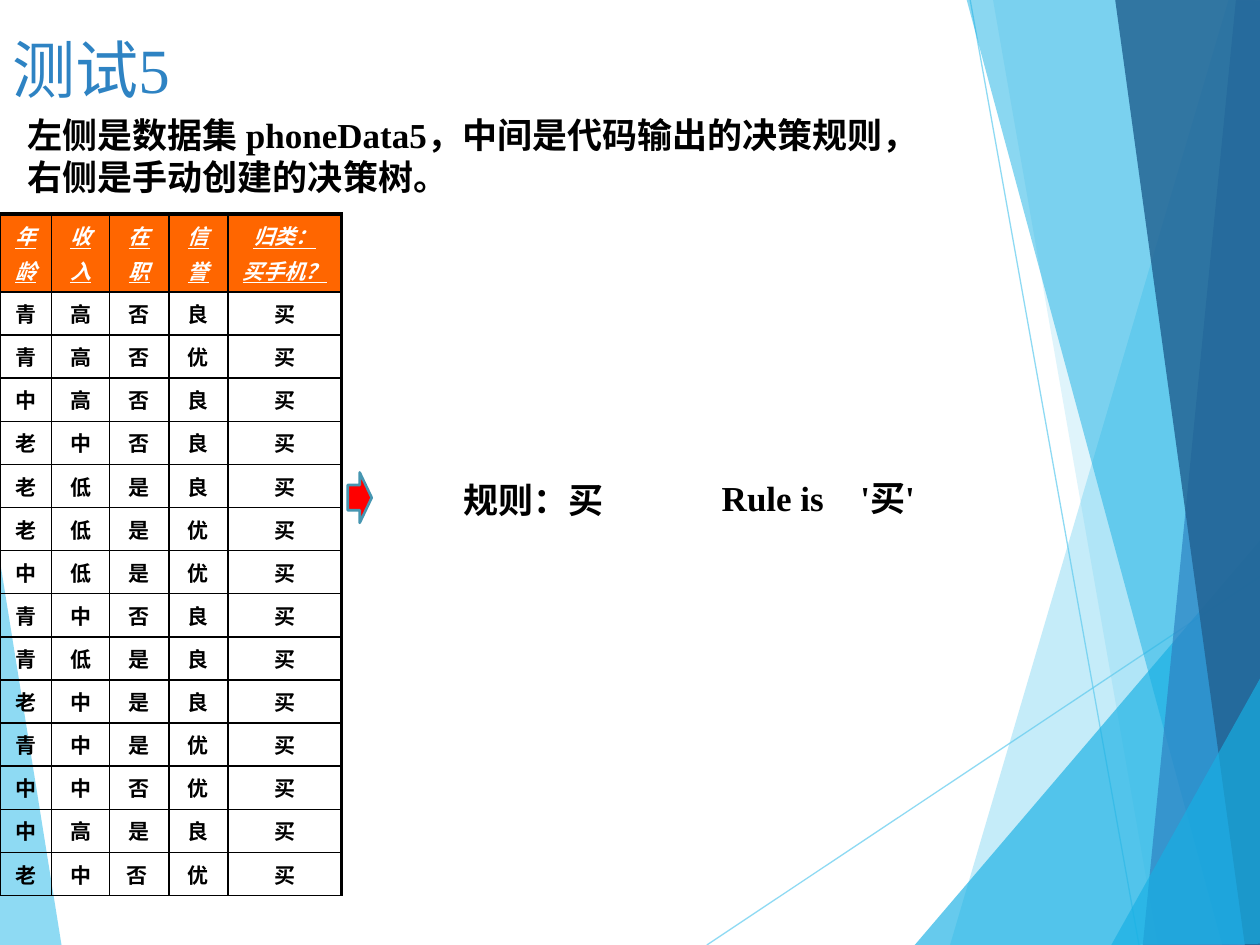
from lxml.etree import SubElement
from pptx import Presentation
from pptx.dml.color import RGBColor
from pptx.enum.shapes import MSO_CONNECTOR as Connector, MSO_SHAPE as Shape
from pptx.enum.text import PP_ALIGN as Align
from pptx.oxml.ns import qn
from pptx.util import Inches, Pt

THEME = {
    "latin": "Times New Roman", "cell_font": "Arial",
    "title_size": 36, "body_size": 20, "cell_size": 12,
    "text": "000000", "title": "2E83C3", "header_text": "FFFFFF",
    "header_fill": "FF6600", "border": "000000",
    "arrow": "FF0000", "arrow_line": "4696B1",
    "sky": "5FCBEF", "cyan": "17B0E4", "blue": "2E83C3", "navy": "226292",
}

TITLE = "测试5"
INTRO = "左侧是数据集 phoneData5，中间是代码输出的决策规则，右侧是手动创建的决策树。"
RULE = "规则：买"
TREE = "Rule is\t'买'"

HEADERS = [("年", "龄"), ("收", "入"), ("在", "职"), ("信", "誉"), ("归类：", "买手机？")]
RECORDS = [
    ("青", "高", "否", "良", "买"),
    ("青", "高", "否", "优", "买"),
    ("中", "高", "否", "良", "买"),
    ("老", "中", "否", "良", "买"),
    ("老", "低", "是", "良", "买"),
    ("老", "低", "是", "优", "买"),
    ("中", "低", "是", "优", "买"),
    ("青", "中", "否", "良", "买"),
    ("青", "低", "是", "良", "买"),
    ("老", "中", "是", "良", "买"),
    ("青", "中", "是", "优", "买"),
    ("中", "中", "否", "优", "买"),
    ("中", "高", "是", "良", "买"),
    ("老", "中", "否 ", "优", "买"),
]
COLUMN_WIDTHS = [0.41, 0.46, 0.47, 0.47, 0.9]
HEADER_HEIGHT, ROW_HEIGHT = 0.56, 0.33
THIN, THICK = 1, 2.25

# Backdrop: colour, opacity in percent, corner points in inches
LEFT_WEDGE = ("sky", 70, [(-0.01, 4.39), (0.49, 7.51), (-0.01, 7.5)])
RIGHT_FACETS = [
    ("sky", 36, [(9.75, 0), (7.54, 7.5), (10.02, 7.51), (10.01, 0.01)]),
    ("sky", 20, [(7.88, -0.01), (9.19, 7.5), (10.01, 7.5), (10.01, -0.01)]),
    ("cyan", 66, [(7.26, 7.5), (10, 4.29), (10.01, 7.5)]),
    ("cyan", 50, [(7.67, -0.01), (9.7, 7.5), (10.01, 7.49), (10.01, -0.01)]),
    ("blue", 70, [(9.81, -0.01), (9.07, 7.5), (10.01, 7.5), (10, -0.01)]),
    ("navy", 82, [(8.85, -0.01), (9.88, 7.5), (10.02, 7.5), (10, -0.01)]),
    ("cyan", 66, [(8.82, 7.5), (10.02, 5.35), (10.02, 7.49)]),
]
RAYS = [((5.61, 7.5), (10.01, 4.57)), ((7.7, 0), (9.04, 7.5))]
RAY_OPACITY = 70


def color(name):
    return RGBColor.from_string(THEME[name])


def set_opacity(element, percent):
    """Add an alpha value to the colour inside a shape's properties."""
    value = next(element.iter(qn("a:srgbClr")))
    SubElement(value, qn("a:alpha"), val=str(percent * 1000))


def add_facet(slide, fill, opacity, points):
    start, *rest = [(Inches(x), Inches(y)) for x, y in points]
    builder = slide.shapes.build_freeform(*start)
    builder.add_line_segments(rest, close=True)
    facet = builder.convert_to_shape()
    facet.shadow.inherit = False
    facet.fill.solid()
    facet.fill.fore_color.rgb = color(fill)
    set_opacity(facet._element.spPr, opacity)
    facet.line.fill.background()


def add_ray(slide, start, end):
    ray = slide.shapes.add_connector(Connector.STRAIGHT, *map(Inches, start + end))
    ray.line.color.rgb = color("sky")
    ray.line.width = Pt(0.75)
    properties = ray._element.spPr
    set_opacity(properties, RAY_OPACITY)
    SubElement(properties, qn("a:effectLst"))


def add_backdrop(slide):
    add_facet(slide, *LEFT_WEDGE)
    for start, end in RAYS:
        add_ray(slide, start, end)
    for facet in RIGHT_FACETS:
        add_facet(slide, *facet)


def style_font(font, name, size, color_name, bold):
    font.name = THEME[name]
    font.size = Pt(THEME[size])
    font.color.rgb = color(color_name)
    font.bold = bold


def add_text(slide, text, box, size="body_size", color_name="text", bold=True, tab=None):
    frame = slide.shapes.add_textbox(*map(Inches, box)).text_frame
    frame.word_wrap = True
    paragraph = frame.paragraphs[0]
    paragraph.text = text
    if tab:
        tabs = SubElement(paragraph._p.get_or_add_pPr(), qn("a:tabLst"))
        SubElement(tabs, qn("a:tab"), pos=str(Inches(tab)), algn="l")
    style_font(paragraph.font, "latin", size, color_name, bold)


def set_borders(cell, **widths):
    """Draw the sides left, right, top and bottom, before the fill is set."""
    properties = cell._tc.get_or_add_tcPr()
    for side in ("left", "right", "top", "bottom"):
        line = SubElement(properties, qn(f"a:ln{side[0].upper()}"),
                          w=str(Pt(widths.get(side, THIN))))
        fill = SubElement(line, qn("a:solidFill"))
        SubElement(fill, qn("a:srgbClr"), val=THEME["border"])


def fill_cell(cell, lines, is_header):
    if is_header:
        cell.fill.solid()
        cell.fill.fore_color.rgb = color("header_fill")
    else:
        cell.fill.background()
    cell.text = "\n".join(lines)
    for index, paragraph in enumerate(cell.text_frame.paragraphs):
        paragraph.alignment = Align.CENTER
        if index:
            paragraph.space_before = Pt(0.2 * THEME["cell_size"])
        style_font(paragraph.font, "latin" if is_header else "cell_font", "cell_size",
                   "header_text" if is_header else "text", True)
        paragraph.font.italic = paragraph.font.underline = is_header


def add_data_table(slide):
    rows = [HEADERS] + [[(value,) for value in record] for record in RECORDS]
    heights = [HEADER_HEIGHT] + [ROW_HEIGHT] * len(RECORDS)
    table = slide.shapes.add_table(
        len(rows), len(HEADERS), Inches(0), Inches(1.7),
        Inches(sum(COLUMN_WIDTHS)), Inches(sum(heights))).table
    table.first_row = table.horz_banding = False
    for column, width in zip(table.columns, COLUMN_WIDTHS):
        column.width = Inches(width)
    last_column = len(HEADERS) - 1
    for row_index, (row, height) in enumerate(zip(rows, heights)):
        table.rows[row_index].height = Inches(height)
        for column_index, lines in enumerate(row):
            cell = table.cell(row_index, column_index)
            set_borders(cell, top=THIN if row_index else THICK,
                        right=THICK if column_index == last_column else THIN)
            fill_cell(cell, lines, is_header=row_index == 0)


def add_arrow(slide):
    arrow = slide.shapes.add_shape(
        Shape.RIGHT_ARROW, *map(Inches, (2.76, 3.75, 0.19, 0.4)))
    arrow.shadow.inherit = False
    arrow.fill.solid()
    arrow.fill.fore_color.rgb = color("arrow")
    arrow.line.color.rgb = color("arrow_line")
    arrow.line.width = Pt(1.5)


def main():
    presentation = Presentation()
    presentation.slide_width, presentation.slide_height = Inches(10), Inches(7.5)
    slide = presentation.slides.add_slide(presentation.slide_layouts[6])
    add_backdrop(slide)
    add_arrow(slide)
    add_data_table(slide)
    add_text(slide, RULE, (3.58, 3.75, 1.5, 0.44))
    add_text(slide, TITLE, (0, 0.19, 8.6, 0.53), "title_size", "title", bold=False)
    add_text(slide, INTRO, (0.12, 0.85, 7.32, 0.77))
    add_text(slide, TREE, (5.63, 3.73, 2, 0.44), tab=1.1)
    presentation.save("out.pptx")


if __name__ == "__main__":
    main()
